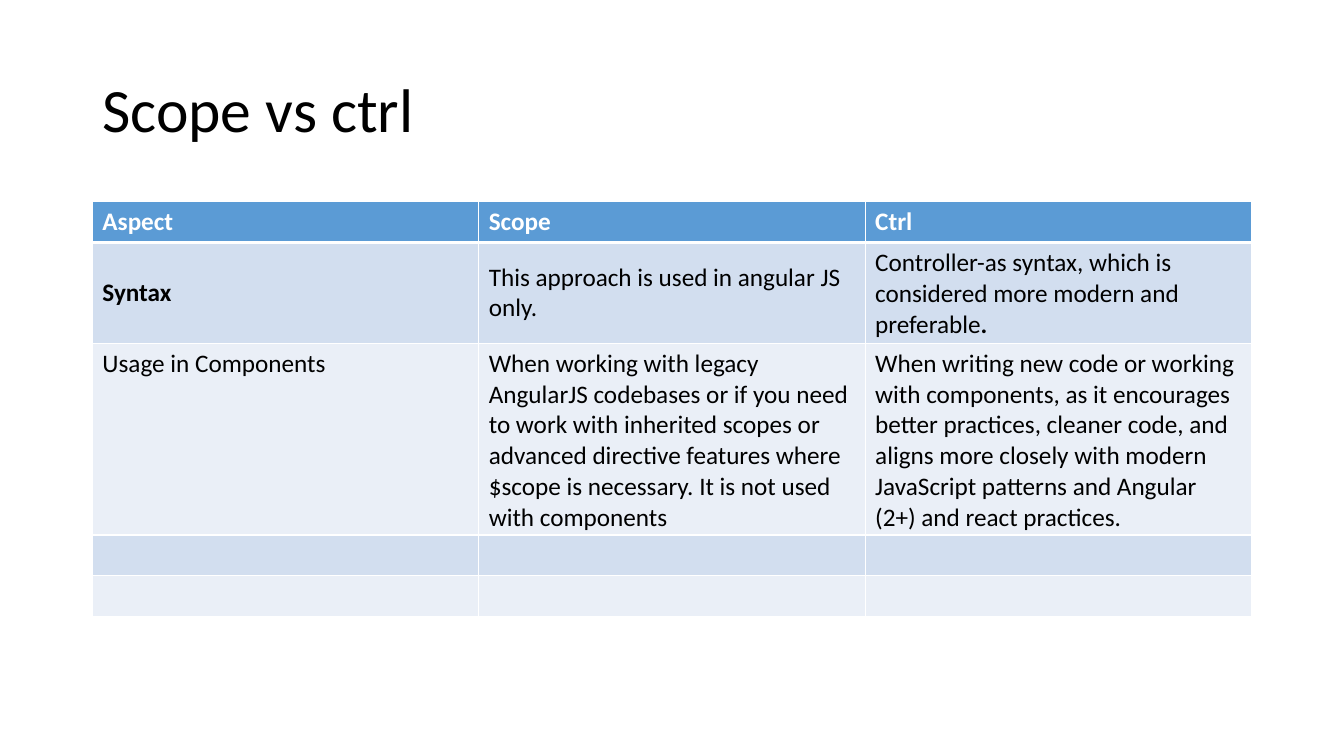
import dataclasses

import pptx
import pptx.dml.color
import pptx.enum.text
import pptx.oxml
import pptx.oxml.ns
import pptx.util

PX = 9525
FONT = "Calibri"
COLORS = {"white": "FFFFFF", "black": "000000", "head": "5B9BD5",
          "dark": "D2DEEF", "light": "EAEFF7"}
TOP = pptx.enum.text.MSO_ANCHOR.TOP
MIDDLE = pptx.enum.text.MSO_ANCHOR.MIDDLE


@dataclasses.dataclass
class Run:
    text: str
    bold: bool = False


@dataclasses.dataclass
class Row:
    fill: str
    cells: list[list[Run]]
    ink: str = "black"
    anchor: pptx.enum.text.MSO_ANCHOR = TOP


ROWS = [
    Row("head", [[Run(name, True)] for name in ("Aspect", "Scope", "Ctrl")], ink="white"),
    Row("dark", [
        [Run("Syntax", True)],
        [Run("This approach is used in angular JS only.")],
        [Run("Controller-as syntax, which is considered more modern and preferable"),
         Run(".", True)],
    ], anchor=MIDDLE),
    Row("light", [
        [Run("Usage in Components")],
        [Run("When working with legacy AngularJS codebases or if you need to work with "
             "inherited scopes or advanced directive features where $scope is necessary. "
             "It is not used with components")],
        [Run("When writing new code or working with components, as it encourages better "
             "practices, cleaner code, and aligns more closely with modern JavaScript "
             "patterns and Angular (2+) and react practices.")],
    ]),
    Row("dark", [[], [], []]),
    Row("light", [[], [], []]),
]


def px(*sizes: int) -> list[int]:
    return [size * PX for size in sizes]


def rgb(name: str) -> pptx.dml.color.RGBColor:
    return pptx.dml.color.RGBColor.from_string(COLORS[name])


def write(frame, runs: list[Run], size: int, ink: str) -> None:
    for item in runs:
        run = frame.paragraphs[0].add_run()
        run.text = item.text
        form = {"name": FONT, "size": pptx.util.Pt(size), "bold": item.bold}
        for key, value in form.items():
            setattr(run.font, key, value)
        run.font.color.rgb = rgb(ink)


def edge(cell, widths: dict[str, int]) -> None:
    """Draw white cell borders, with widths in points by side."""
    props = cell._tc.get_or_add_tcPr()
    for side, width in widths.items():
        props.append(pptx.oxml.parse_xml(
            f'<a:ln{side} {pptx.oxml.ns.nsdecls("a")} w="{pptx.util.Pt(width)}">'
            f'<a:solidFill><a:srgbClr val="{COLORS["white"]}"/></a:solidFill></a:ln{side}>'))


def add_title(slide, text: str) -> None:
    box = slide.shapes.add_textbox(*px(88, 38, 1104, 139))
    frame = box.text_frame
    frame.word_wrap = True
    frame.vertical_anchor = MIDDLE
    frame.paragraphs[0].line_spacing = 0.9
    write(frame, [Run(text)], 44, "black")


def add_grid(slide, rows: list[Row]) -> None:
    place = px(88, 192, 1104, 395)
    shape = slide.shapes.add_table(len(rows), len(rows[0].cells), *place)
    table = shape.table
    for i, row in enumerate(rows):
        table.rows[i].height = 39 * PX
        for j, runs in enumerate(row.cells):
            cell = table.cell(i, j)
            edge(cell, {"L": 1, "R": 1, "T": 3 if i == 1 else 1, "B": 3 if i == 0 else 1})
            cell.fill.solid()
            cell.fill.fore_color.rgb = rgb(row.fill)
            cell.vertical_anchor = row.anchor
            write(cell.text_frame, runs, 18, row.ink)
    shape.height = place[3]


def main() -> None:
    deck = pptx.Presentation()
    deck.slide_width, deck.slide_height = px(1280, 720)
    slide = deck.slides.add_slide(deck.slide_layouts[6])
    add_title(slide, "Scope vs ctrl")
    add_grid(slide, ROWS)
    deck.save("out.pptx")


if __name__ == "__main__":
    main()
